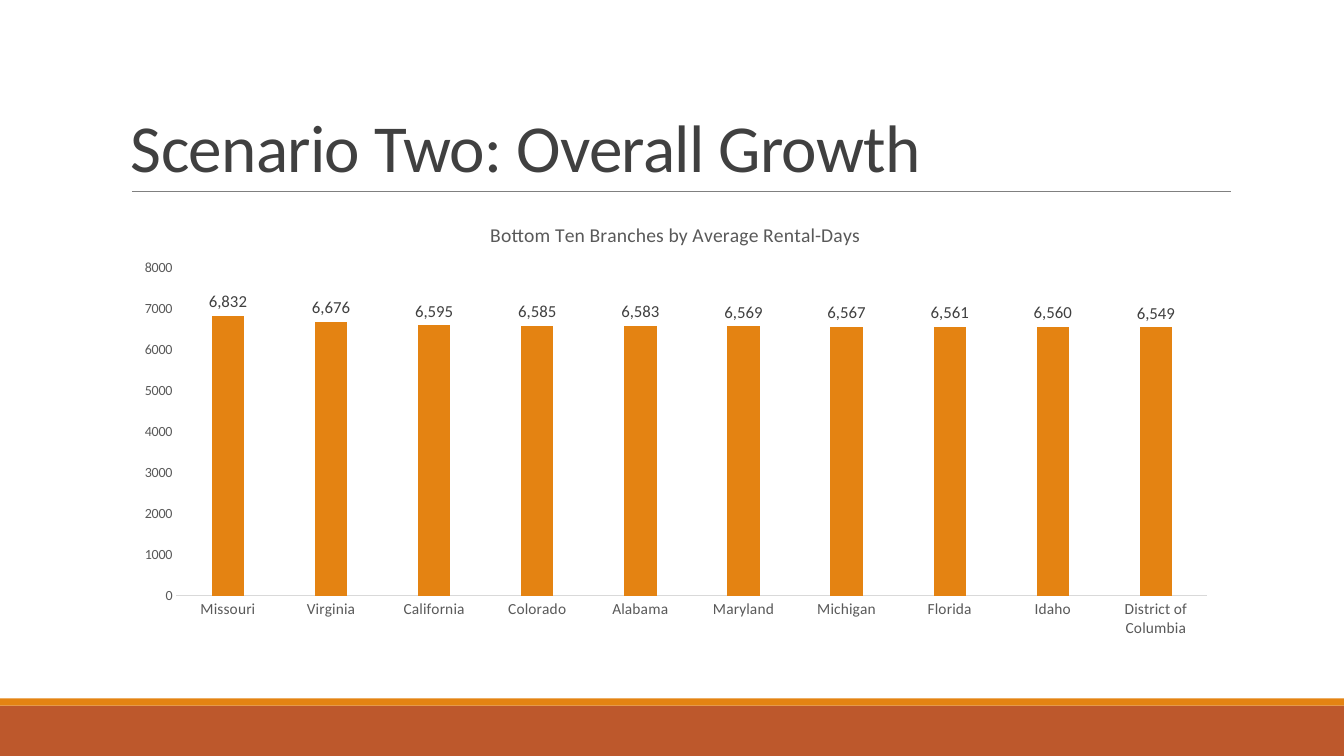
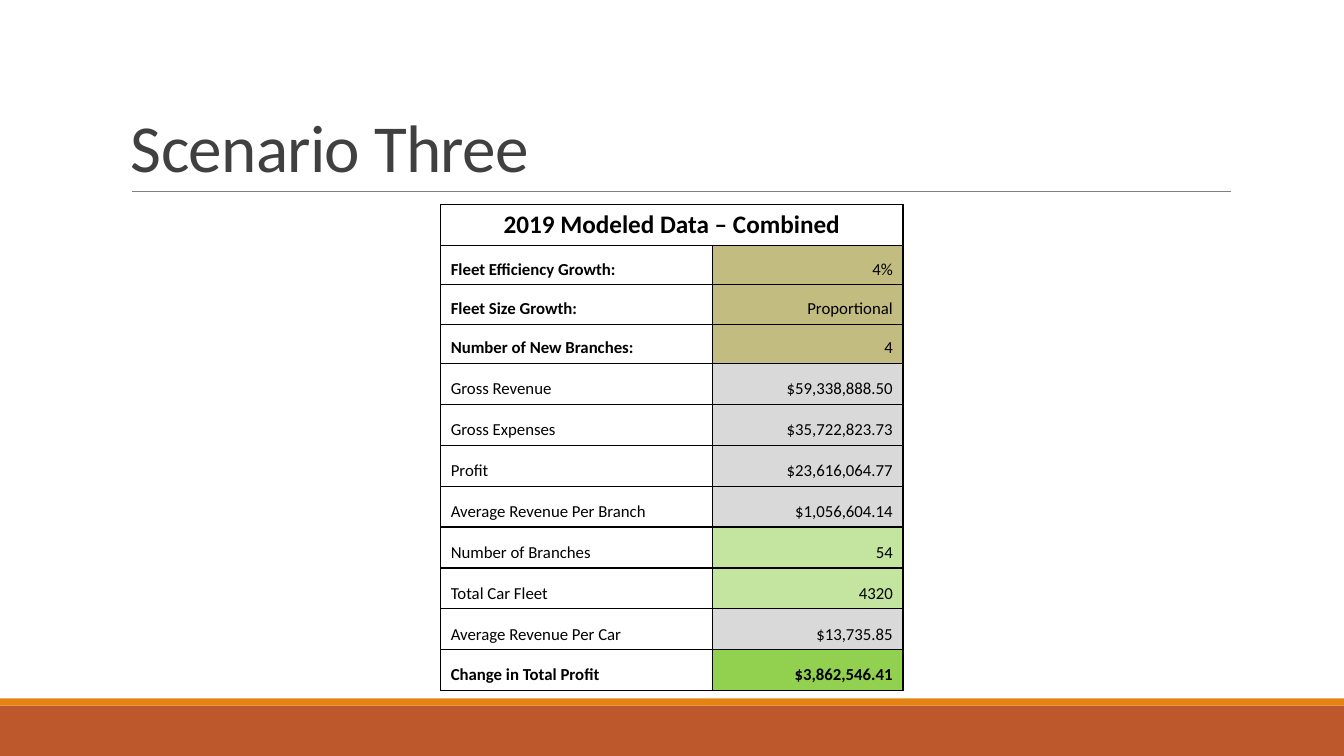
"""Build two slides: a chart of branches and a table of modeled data."""
from lxml.etree import SubElement
from pptx import Presentation
from pptx.chart.data import CategoryChartData
from pptx.dml.color import RGBColor
from pptx.enum.chart import XL_CHART_TYPE, XL_LABEL_POSITION, XL_TICK_MARK
from pptx.enum.shapes import MSO_CONNECTOR, MSO_SHAPE
from pptx.enum.text import MSO_ANCHOR, PP_ALIGN
from pptx.oxml import parse_xml
from pptx.oxml.ns import nsdecls, qn
from pptx.util import Pt

FACE = "Calibri"
HUES = {
    "rust": "BD582C", "orange": "E48312", "rule": "808080", "title": "404040",
    "text": "595959", "axis": "D9D9D9", "black": "000000", "white": "FFFFFF",
    "tan": "C2BC80", "gray": "D9D9D9", "pale": "C4E59F", "green": "92D050",
}
BANDS = [("rust", 504, 36), ("orange", 498.8, 5.2)]


def style(font, size, hue, bold=False):
    font.name, font.size, font.bold = FACE, Pt(size), bold
    font.color.rgb = RGBColor.from_string(HUES[hue])


def start(deck, text):
    slide = deck.slides.add_slide(deck.slide_layouts[6])
    for hue, top, high in BANDS:
        band = slide.shapes.add_shape(MSO_SHAPE.RECTANGLE, 0, Pt(top), deck.slide_width, Pt(high))
        band.shadow.inherit = False
        band.fill.solid()
        band.fill.fore_color.rgb = RGBColor.from_string(HUES[hue])
        band.line.fill.background()
    rule = slide.shapes.add_connector(MSO_CONNECTOR.STRAIGHT, Pt(94.2), Pt(136.8), Pt(879), Pt(136.8))
    rule.line.color.rgb = RGBColor.from_string(HUES["rule"])
    rule.line.width = Pt(0.5)
    SubElement(rule.element.spPr, qn("a:effectLst"))
    box = slide.shapes.add_textbox(Pt(86.4), Pt(22.6), Pt(792), Pt(114.2))
    frame = box.text_frame
    frame.word_wrap = True
    frame.vertical_anchor = MSO_ANCHOR.BOTTOM
    line = frame.paragraphs[0]
    line.line_spacing = 0.85
    run = line.add_run()
    run.text = text
    style(run.font, 48, "title")
    run.font._element.set("spc", "-50")
    return slide


deck = Presentation()
deck.slide_width, deck.slide_height = Pt(960), Pt(540)

slide = start(deck, "Scenario Two: Overall Growth")
days = {
    "Missouri": 6832, "Virginia": 6676, "California": 6595, "Colorado": 6585,
    "Alabama": 6583, "Maryland": 6569, "Michigan": 6567, "Florida": 6561,
    "Idaho": 6560, "District of Columbia": 6549,
}
data = CategoryChartData()
data.categories = list(days)
data.add_series("Series 1", list(days.values()))
chart = slide.shapes.add_chart(
    XL_CHART_TYPE.COLUMN_CLUSTERED, Pt(86.4), Pt(145.4), Pt(792), Pt(316.8), data).chart
style(chart.font, 10, "black")
chart.has_legend = False
chart.has_title = True
run = chart.chart_title.text_frame.paragraphs[0].add_run()
run.text = "Bottom Ten Branches by Average Rental-Days"
style(run.font, 14, "text")
chart.chart_title.include_in_layout = False

plot = chart.plots[0]
plot.gap_width, plot.overlap, plot.vary_by_categories = 219, -27, False
fill = plot.series[0].format.fill
fill.solid()
fill.fore_color.rgb = RGBColor.from_string(HUES["orange"])
plot.has_data_labels = True
labels = plot.data_labels
labels.show_value = True
labels.position = XL_LABEL_POSITION.OUTSIDE_END
labels.number_format, labels.number_format_is_linked = "#,###", False
style(labels.font, 12, "title")

for axis, size in [(chart.category_axis, 11), (chart.value_axis, 10)]:
    axis.major_tick_mark = axis.minor_tick_mark = XL_TICK_MARK.NONE
    axis.has_major_gridlines = False
    style(axis.tick_labels.font, size, "text")
edge = chart.category_axis.format.line
edge.color.rgb = RGBColor.from_string(HUES["axis"])
edge.width = Pt(0.75)
scale = chart.value_axis
scale.minimum_scale, scale.maximum_scale, scale.major_unit = 0, 8000, 1000
scale.format.line.fill.background()

area = plot._element.getparent()
for old in area.findall(qn("c:layout")):
    area.remove(old)
area.insert(0, parse_xml(
    f'<c:layout {nsdecls("c")}><c:manualLayout><c:layoutTarget val="inner"/>'
    '<c:xMode val="edge"/><c:yMode val="edge"/><c:x val="0.05"/><c:y val="0.145"/>'
    '<c:w val="0.93"/><c:h val="0.74"/></c:manualLayout></c:layout>'))

slide = start(deck, "Scenario Three")
rows = [
    ("2019 Modeled Data – Combined", "", "white"),
    ("Fleet Efficiency Growth:", "4%", "tan"),
    ("Fleet Size Growth:", "Proportional", "tan"),
    ("Number of New Branches:", "4", "tan"),
    ("Gross Revenue", "$59,338,888.50", "gray"),
    ("Gross Expenses", "$35,722,823.73", "gray"),
    ("Profit", "$23,616,064.77", "gray"),
    ("Average Revenue Per Branch", "$1,056,604.14", "gray"),
    ("Number of Branches", "54", "pale"),
    ("Total Car Fleet", "4320", "pale"),
    ("Average Revenue Per Car", "$13,735.85", "gray"),
    ("Change in Total Profit", "$3,862,546.41", "green"),
]
last = len(rows) - 1
table = slide.shapes.add_table(len(rows), 2, Pt(314.8), Pt(146.2), Pt(330.2), Pt(347)).table
table.first_row = table.horz_banding = False
table.columns[0].width, table.columns[1].width = Pt(194.2), Pt(136)
table.cell(0, 0).merge(table.cell(0, 1))
for i, (name, value, hue) in enumerate(rows):
    table.rows[i].height = Pt(28.1 if 0 < i < 4 else 29.2)
    for j, text in enumerate((name, value)):
        cell = table.cell(i, j)
        props = cell._tc.get_or_add_tcPr()
        for side in "LRTB":
            props.append(parse_xml(
                f'<a:ln{side} {nsdecls("a")} w="{Pt(1)}"><a:solidFill>'
                f'<a:srgbClr val="{HUES["black"]}"/></a:solidFill></a:ln{side}>'))
        cell.fill.solid()
        cell.fill.fore_color.rgb = RGBColor.from_string(HUES[hue if j else "white"])
        cell.vertical_anchor = MSO_ANCHOR.BOTTOM
        if text:
            line = cell.text_frame.paragraphs[0]
            line.alignment = PP_ALIGN.CENTER if i == 0 else PP_ALIGN.RIGHT if j else PP_ALIGN.LEFT
            run = line.add_run()
            run.text = text
            style(run.font, 12 if i else 18, "black", i == last or (j == 0 and i < 4))

deck.save("out.pptx")
